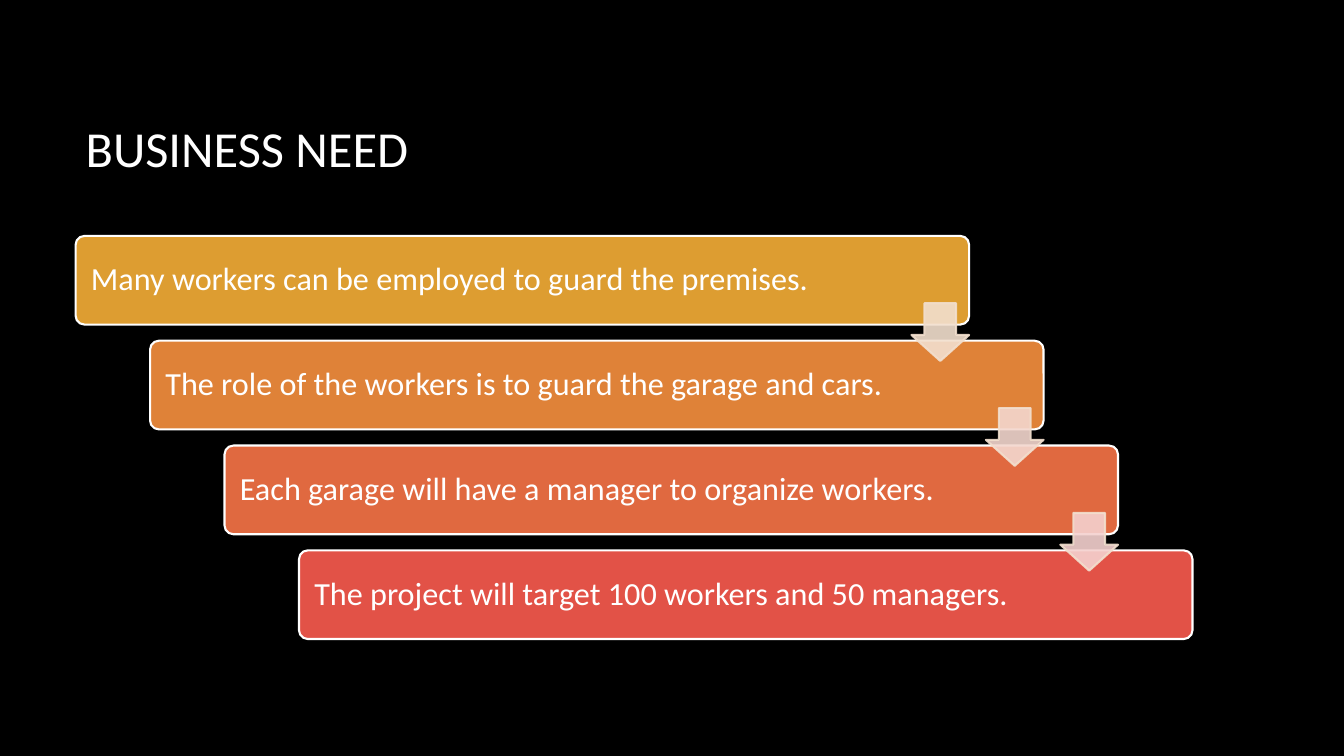
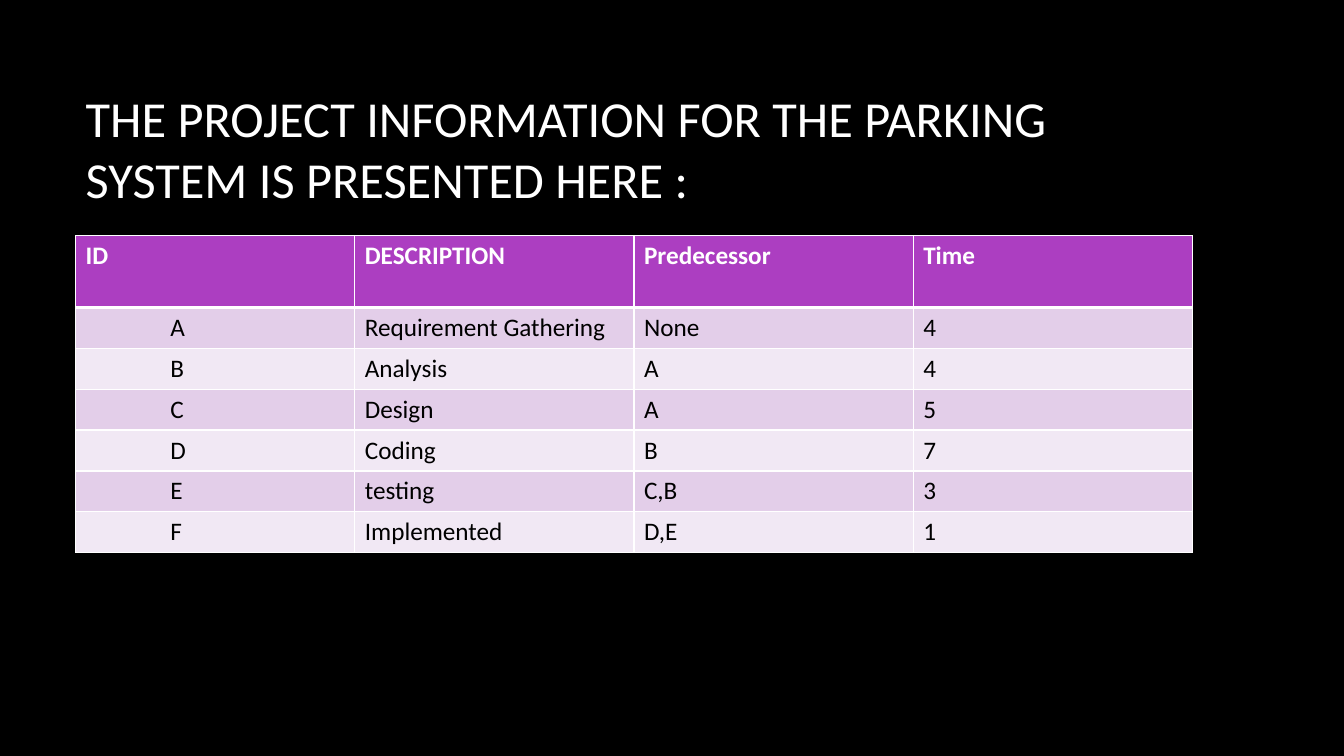
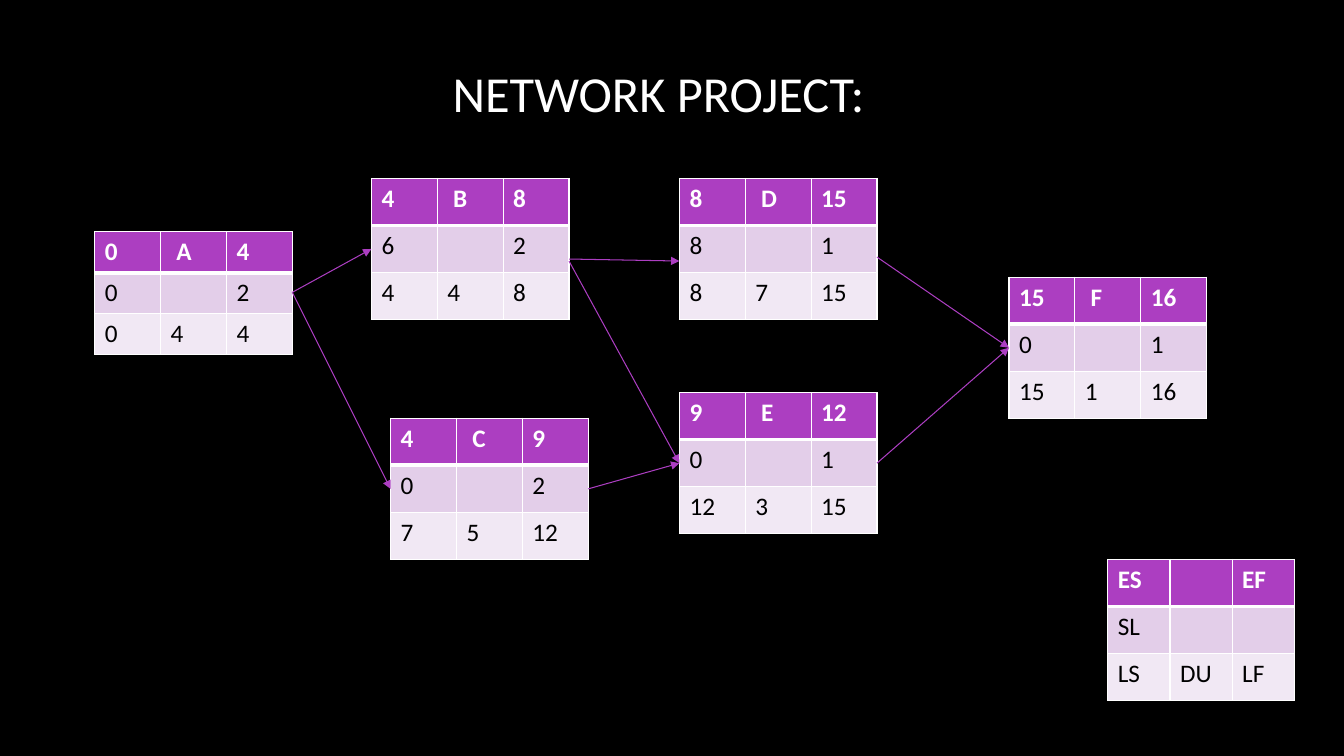
import pptx
import pptx.util
import pptx.dml.color
import pptx.enum.text
import pptx.enum.shapes
import pptx.oxml
import pptx.oxml.ns
import lxml.etree

COLS, ROWS = 133.33, 75  # grid cells across and down, a tenth of an inch each
FONT = "Calibri"
HUES = {
    "back": "000000", "light": "FFFFFF", "dark": "000000",
    "head": "AC3EC1", "odd": "E3CEE9", "even": "F1E8F4", "edge": "F2DFCE",
}
STEPS = [
    ("Many workers can be employed to guard the premises.", "DD9D31", "F2DFCE"),
    ("The role of the workers is to guard the garage and cars.", "DF8238", "F3D7CE"),
    ("Each garage will have a manager to organize workers.", "E06940", "F4D1CF"),
    ("The project will target 100 workers and 50 managers.", "E25247", None),
]
TASKS = [
    ("ID", "DESCRIPTION", "Predecessor", "Time"),
    ("A", "Requirement Gathering", "None", "4"),
    ("B", "Analysis", "A", "4"),
    ("C", "Design", "A", "5"),
    ("D", "Coding", "B", "7"),
    ("E", "testing", "C,B", "3"),
    ("F", "Implemented", "D,E", "1"),
]
LEGEND = [("ES", "", "EF"), ("SL", "", ""), ("LS", "DU", "LF")]
# name: left, top, height, rows of values
NODES = {
    "A": (9.4, 23, 12, [("0", "A", "4"), ("0", "", "2"), ("0", "4", "4")]),
    "C": (38.75, 41.5, 14, [("4", "C", "9"), ("0", "", "2"), ("7", "5", "12")]),
    "B": (36.85, 17.7, 14, [("4", "B", "8"), ("6", "", "2"), ("4", "4", "8")]),
    "D": (67.4, 17.7, 14, [("8", "D", "15"), ("8", "", "1"), ("8", "7", "15")]),
    "E": (67.4, 38.95, 14, [("9", "E", "12"), ("0", "", "1"), ("12", "3", "15")]),
    "F": (100.1, 27.5, 14, [("15", "F", "16"), ("0", "", "1"), ("15", "1", "16")]),
}
WIDE = 19.6  # node width
# from, to, and how far each end sits below the middle of its node
LINKS = [
    ("B", "D", 1, 1.2), ("E", "F", 0, 0), ("B", "E", 1.2, 0), ("A", "C", 0, 0),
    ("A", "B", 0, 0), ("C", "E", 0, 0), ("D", "F", 0.8, 0),
]
HEAD = (7.5, 6.7, 110.8, 15.9)
BODY = (7.5, 23.4, 110.8, 40)


def grid(*cells):
    """Turn grid cells into lengths."""
    return [pptx.util.Inches(cell / 10) for cell in cells]


def hue(code):
    """Make a colour from a name in HUES or a hex string."""
    return pptx.dml.color.RGBColor.from_string(HUES.get(code, code))


def fade(fill, share):
    """Make a solid fill partly clear; share is the opacity in percent."""
    for tag in fill.iter(pptx.oxml.ns.qn("a:srgbClr")):
        alpha = lxml.etree.SubElement(tag, pptx.oxml.ns.qn("a:alpha"))
        alpha.set("val", str(share * 1000))


def write(frame, text, size=18, color="dark", bold=False, space=None, mid=False):
    """Put formatted, left-aligned text into a frame."""
    frame.word_wrap = True
    if mid:
        frame.vertical_anchor = pptx.enum.text.MSO_ANCHOR.MIDDLE
    para = frame.paragraphs[0]
    para.alignment = pptx.enum.text.PP_ALIGN.LEFT
    para.line_spacing = space
    run = para.add_run()
    run.text = text
    run.font.name, run.font.size = FONT, pptx.util.Pt(size)
    run.font.bold, run.font.color.rgb = bold, hue(color)


def start(deck, title, box=HEAD):
    """Add a slide with its title in the given box."""
    slide = deck.slides.add_slide(deck.slide_layouts[5])
    head = slide.shapes.title
    head.left, head.top, head.width, head.height = grid(*box)
    head.text_frame.auto_size = pptx.enum.text.MSO_AUTO_SIZE.NONE
    write(head.text_frame, title, size=36, color="light", mid=True)
    return slide


def block(slide, kind, box, fill, line, bends):
    """Add a flat preset shape with fill, outline and adjustments."""
    shape = slide.shapes.add_shape(kind, *grid(*box))
    shape.shadow.inherit = False
    shape.fill.solid()
    shape.fill.fore_color.rgb = hue(fill)
    shape.line.color.rgb = hue(line)
    shape.line.width = pptx.util.Pt(1.5)
    for place, bend in enumerate(bends):
        shape.adjustments[place] = bend
    return shape


def stairs(slide, box, steps):
    """Draw bars stepping down to the right, then the arrows between them."""
    left, top, width, height = box
    kinds = pptx.enum.shapes.MSO_SHAPE
    wide, tall = 0.8 * width, 0.22 * height
    over, down = (width - wide) / (len(steps) - 1), (height - tall) / (len(steps) - 1)
    side = 0.65 * tall
    spots = [(left + n * over, top + n * down) for n in range(len(steps))]
    for (x, y), (text, fill, tint) in zip(spots, steps):
        bar = block(slide, kinds.ROUNDED_RECTANGLE, (x, y, wide, tall), fill, "light", [0.1])
        bar.text_frame.margin_left = grid(1.26)[0]
        write(bar.text_frame, text, size=23, color="light", space=0.9, mid=True)
    for (x, y), (text, fill, tint) in zip(spots, steps):
        if tint:
            spot = (x + wide - side, y + 0.76 * tall, side, side)
            arrow = block(slide, kinds.DOWN_ARROW, spot, tint, "edge", [0.55, 0.45])
            fade(arrow.element.spPr, 90)


def rim(cell, sides):
    """Draw white borders on a cell; sides maps L, R, T, B to points."""
    props = cell._tc.get_or_add_tcPr()
    for side, width in sides.items():
        props.append(pptx.oxml.parse_xml(
            f'<a:ln{side} {pptx.oxml.ns.nsdecls("a")} w="{pptx.util.Pt(width)}">'
            f'<a:solidFill><a:srgbClr val="{HUES["light"]}"/></a:solidFill></a:ln{side}>'))


def sheet(slide, box, rows, first=None, inset=None):
    """Draw a banded table; inset maps (is header, column) to a left margin."""
    left, top, width, height = box
    count, span = len(rows), len(rows[0])
    table = slide.shapes.add_table(count, span, *grid(*box)).table
    first = first or height / count
    for col in table.columns:
        col.width = grid(width / span)[0]
    for r, row in enumerate(rows):
        table.rows[r].height = grid(first if r == 0 else (height - first) / (count - 1))[0]
        for c, text in enumerate(row):
            cell = table.cell(r, c)
            rim(cell, {"L": 1, "R": 1, "T": 3 if r == 1 else 1, "B": 3 if r == 0 else 1})
            cell.fill.solid()
            cell.fill.fore_color.rgb = hue("head" if r == 0 else "odd" if r % 2 else "even")
            cell.margin_left = grid((inset or {}).get((r == 0, c), 1))[0]
            if text:
                write(cell.text_frame, text, color="dark" if r else "light", bold=r == 0)


def arrow(slide, tail, tip):
    """Draw a thin arrow from tail to tip."""
    line = slide.shapes.add_connector(
        pptx.enum.shapes.MSO_CONNECTOR.STRAIGHT, *grid(*tail, *tip))
    line.line.color.rgb = hue("head")
    line.line.width = pptx.util.Pt(0.75)
    end = lxml.etree.SubElement(line.line._get_or_add_ln(), pptx.oxml.ns.qn("a:tailEnd"))
    end.set("type", "triangle")
    lxml.etree.SubElement(line.element.spPr, pptx.oxml.ns.qn("a:effectLst"))


def net(slide, nodes, links):
    """Draw the task nodes and the arrows that join them."""
    for left, top, tall, rows in nodes.values():
        sheet(slide, (left, top, WIDE, tall), rows, inset={(True, 1): 1.57})
    for tail, tip, out, into in links:
        x, y, tall, _ = nodes[tail]
        left, top, high, _ = nodes[tip]
        arrow(slide, (x + WIDE, y + tall / 2 + out), (left, top + high / 2 + into))


def main():
    """Build and save the deck."""
    deck = pptx.Presentation()
    deck.slide_width, deck.slide_height = grid(COLS, ROWS)
    back = deck.slide_master.background.fill
    back.solid()
    back.fore_color.rgb = hue("back")

    stairs(start(deck, "BUSINESS NEED"), BODY, STEPS)

    plan = start(deck, "THE PROJECT INFORMATION FOR THE PARKING SYSTEM IS PRESENTED HERE :")
    sheet(plan, (*BODY[:3], 31.4), TASKS, first=7.1, inset={(False, 0): 9.4})

    chain = start(deck, "NETWORK PROJECT:", (43.9, 5.2, 45.6, 7.9))
    sheet(chain, (109.9, 55.5, 18.5, 14), LEGEND)
    net(chain, NODES, LINKS)

    deck.save("out.pptx")


main()
